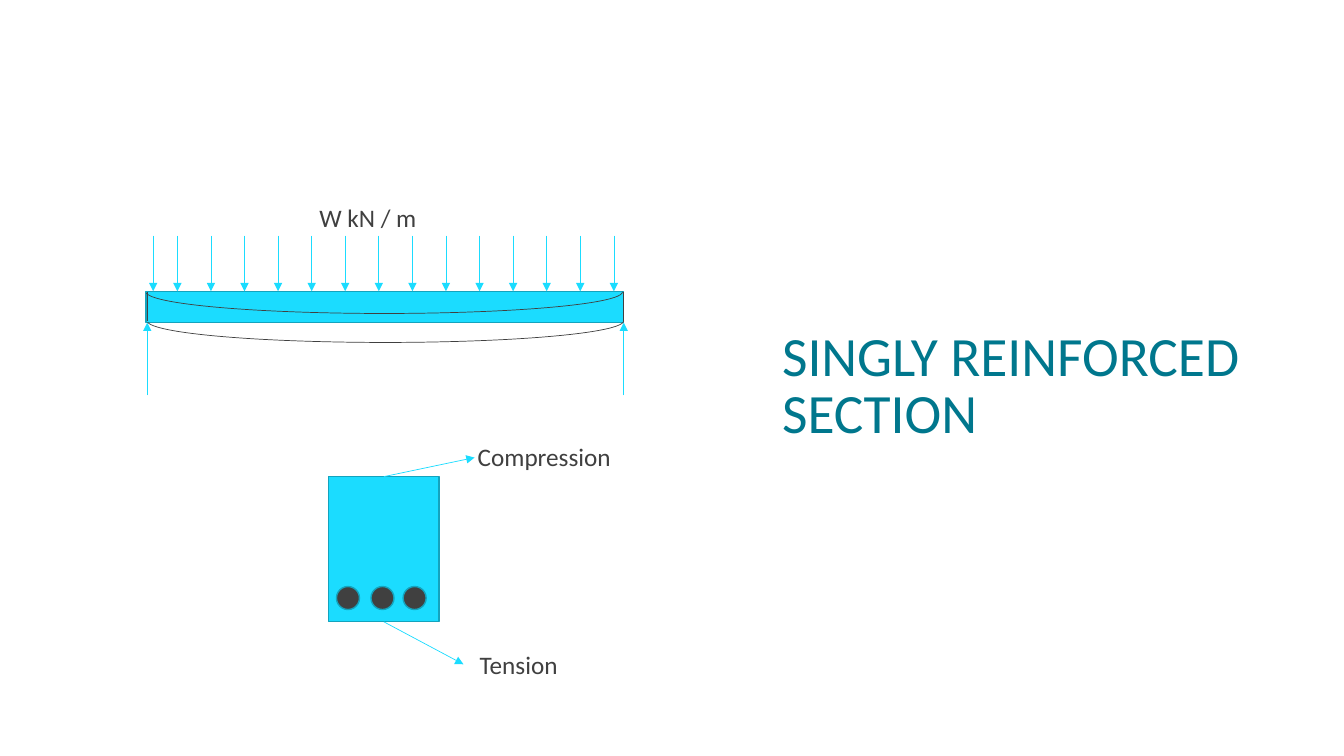
from lxml.etree import SubElement
from pptx import Presentation
from pptx.dml.color import RGBColor
from pptx.enum.shapes import MSO_CONNECTOR, MSO_SHAPE
from pptx.enum.text import MSO_ANCHOR
from pptx.oxml.ns import qn
from pptx.util import Cm, Pt

# Content: lengths in cm, boxes as left, top, width, height
FONT = "Calibri"
TEAL, CYAN, EDGE, DARK = "00778D", "1BDCFF", "14A3BD", "404040"

TITLE = ("SINGLY REINFORCED SECTION", (19.46, 7.72, 12.98, 3.61))
LABELS = [
    ("W kN / m", (7.8, 4.98, 3.0, 1.02)),
    ("Compression", (11.79, 11.0, 3.91, 1.02)),
    ("Tension", (11.84, 16.23, 2.49, 1.02)),
]
BEAM = (3.68, 7.34, 12.04, 0.79)
SUPPORTS = (3.71, 15.72)
REACTION_FOOT = 9.96
LOAD_TOP = 5.94
EDGE_LOAD, FIRST_LOAD, LAST_LOAD, EVEN_LOADS = 3.86, 4.47, 15.47, 14
ARCS = [(3.68, 6.81, 12.01, 1.09), (3.71, 7.54, 12.01, 1.09)]
SIDE_TOP, SIDE_BOTTOM = 7.37, 8.1
SECTION = (8.28, 12.01, 2.79, 3.66)
BARS, BAR_TOP, BAR_SIZE = (8.48, 9.35, 10.16), 14.78, 0.58
POINTERS = [(0, (11.96, 11.53)), (2, (11.68, 16.74))]  # side of section, tip

prs = Presentation()
prs.slide_width, prs.slide_height = Cm(33.87), Cm(19.05)
s = prs.slides.add_slide(prs.slide_layouts[6])


def paint(color_format, color):
    color_format.rgb = RGBColor.from_string(color)


def add_text(text, box, size, color, wrap=False):
    tf = s.shapes.add_textbox(*map(Cm, box)).text_frame
    tf.word_wrap = wrap
    p = tf.paragraphs[0]
    r = p.add_run()
    r.text = text
    r.font.name, r.font.size = FONT, Pt(size)
    paint(r.font.color, color)
    return tf


def add_shape(kind, box, line, width, fill=None):
    sp = s.shapes.add_shape(kind, *map(Cm, box))
    sp.shadow.inherit = False
    if fill:
        sp.fill.solid()
        paint(sp.fill.fore_color, fill)
    else:
        sp.fill.background()
    paint(sp.line.color, line)
    sp.line.width = Pt(width)
    return sp


def add_line(x1, y1, x2, y2, color=CYAN, arrow=True):
    line = s.shapes.add_connector(MSO_CONNECTOR.STRAIGHT, Cm(x1), Cm(y1), Cm(x2), Cm(y2))
    paint(line.line.color, color)
    line.line.width = Pt(0.5)
    if arrow:
        SubElement(line.line._get_or_add_ln(), qn("a:tailEnd"), type="triangle")
    SubElement(line._element.spPr, qn("a:effectLst"))
    return line


# Title
tf = add_text(*TITLE, 39.6, TEAL, wrap=True)
tf.vertical_anchor = MSO_ANCHOR.BOTTOM
tf.paragraphs[0].line_spacing = 0.85

# Beam with its reactions and distributed load
add_shape(MSO_SHAPE.RECTANGLE, BEAM, EDGE, 1, CYAN)
beam_top, beam_bottom = BEAM[1], BEAM[1] + BEAM[3]
for x in SUPPORTS:
    add_line(x, REACTION_FOOT, x, beam_bottom)
pitch = (LAST_LOAD - FIRST_LOAD) / (EVEN_LOADS - 1)
for x in [EDGE_LOAD] + [FIRST_LOAD + i * pitch for i in range(EVEN_LOADS)]:
    add_line(x, LOAD_TOP, x, beam_top)

# Deflected shape
for box in ARCS:
    arc = add_shape(MSO_SHAPE.ARC, box, DARK, 0.5)
    arc.adjustments[0], arc.adjustments[1] = 108.18, 0
    arc._element.spPr.xfrm.set("flipV", "1")
for x in SUPPORTS:
    add_line(x, SIDE_TOP, x, SIDE_BOTTOM, DARK, arrow=False)

# Cross-section with steel bars
section = add_shape(MSO_SHAPE.RECTANGLE, SECTION, EDGE, 1, CYAN)
for x in BARS:
    add_shape(MSO_SHAPE.OVAL, (x, BAR_TOP, BAR_SIZE, BAR_SIZE), EDGE, 1, DARK)
for side, tip in POINTERS:
    add_line(*SECTION[:2], *tip).begin_connect(section, side)

# Labels
for text, box in LABELS:
    add_text(text, box, 18, DARK)

prs.save("out.pptx")
